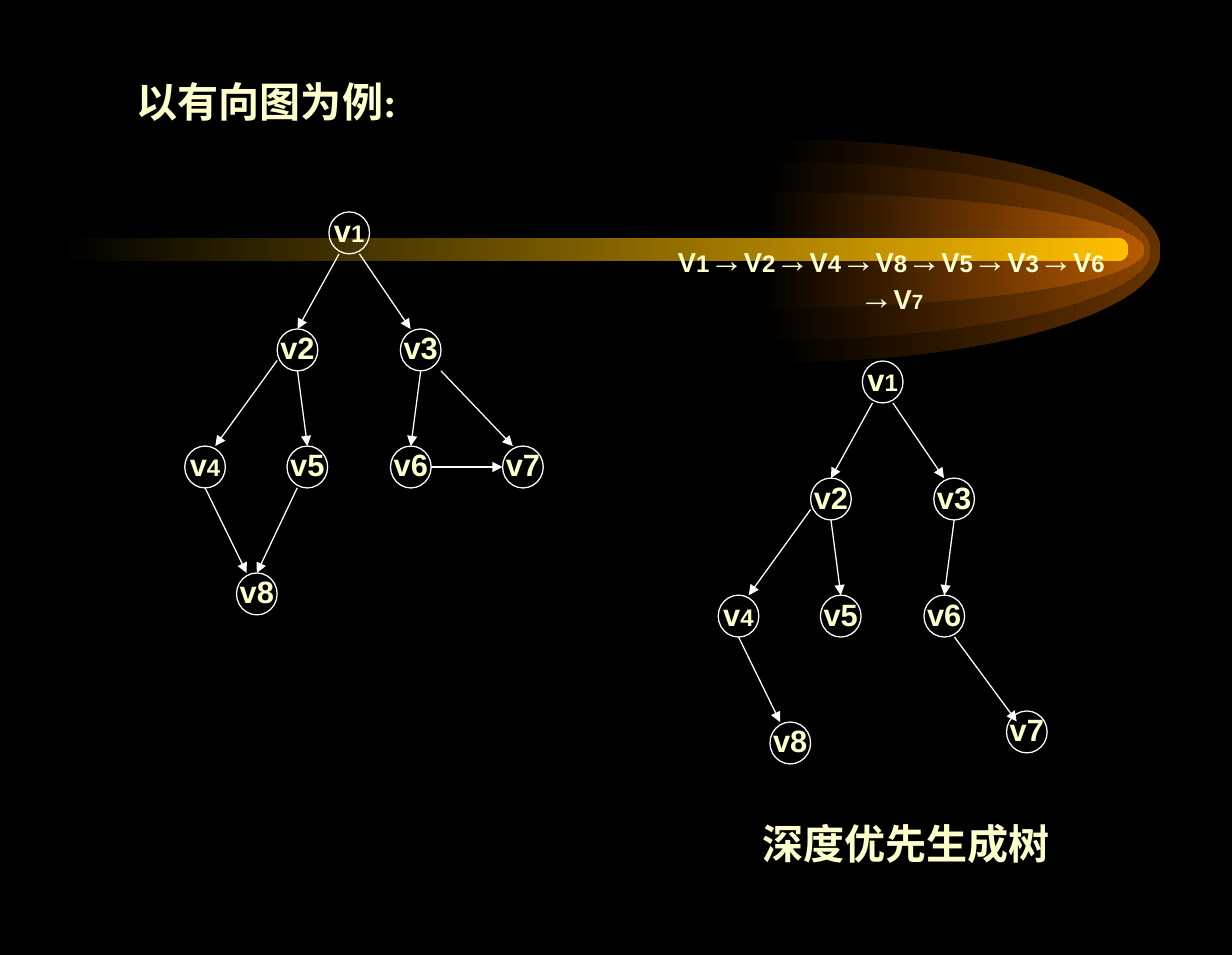
"""Builds a slide on depth-first search of a directed graph."""
import lxml.etree
import pptx
import pptx.dml.color
import pptx.enum.shapes
import pptx.enum.text
import pptx.oxml.ns
import pptx.util

Inches = pptx.util.Inches
RGBColor = pptx.dml.color.RGBColor
Shape = pptx.enum.shapes.MSO_SHAPE
Align = pptx.enum.text.PP_ALIGN
Anchor = pptx.enum.text.MSO_ANCHOR
qn = pptx.oxml.ns.qn

BLACK = RGBColor(0x00, 0x00, 0x00)
WHITE = RGBColor(0xFF, 0xFF, 0xFF)
CREAM = RGBColor(0xFF, 0xFF, 0xCC)
GOLD = RGBColor(0xFF, 0xBF, 0x00)
BROWN = RGBColor(0x66, 0x33, 0x00)
RUST = RGBColor(0x89, 0x44, 0x00)
AMBER = RGBColor(0xB7, 0x5B, 0x00)

WIDE, HIGH = 0.33, 0.34
BEND = 0.55
GLOWS = [
    (6.29, 1.13, 1.81, BROWN),
    (6.21, 1.31, 1.45, RUST),
    (6.16, 1.56, 0.94, AMBER),
]
NODES = {
    "v1": (0, 0), "v2": (-0.42, 0.95), "v3": (0.58, 0.95),
    "v4": (-1.17, 1.9), "v5": (-0.34, 1.9), "v6": (0.5, 1.9),
    "v7": (1.41, 1.9), "v8": (-0.75, 2.93),
}
SMALL = ("v1", "v4")
TOP, LOW = (0.5, 0), (0.5, 1)
SHARED = [
    ("v1", (0.75, 1), "v3", (0.25, 0)),
    ("v1", (0.25, 1), "v2", TOP),
    ("v2", (0, 0.75), "v4", (0.75, 0)),
    ("v2", LOW, "v5", TOP),
    ("v3", LOW, "v6", TOP),
    ("v4", LOW, "v8", (0.25, 0)),
]
GRAPH = SHARED + [
    ("v3", (1, 1), "v7", (0.25, 0)),
    ("v5", (0.25, 1), "v8", TOP),
    ("v6", (1, 0.5), "v7", (0, 0.5)),
]
TREE = SHARED + [("v6", (0.75, 1), "v7", (0.25, 0.25))]


def write(frame, runs, font="Arial", align=Align.CENTER, space=0.9,
          anchor=Anchor.MIDDLE, wrap=False):
    """Fill a text frame with one paragraph of (text, size) runs."""
    frame.word_wrap = wrap
    frame.vertical_anchor = anchor
    para = frame.paragraphs[0]
    para.alignment = align
    para.line_spacing = space
    for text, size in runs:
        run = para.add_run()
        run.text = text
        run.font.name = font
        run.font.size = pptx.util.Pt(size)
        run.font.bold = True
        run.font.color.rgb = CREAM


class Deck:
    """Holds the style and the current slide."""

    def __init__(self):
        """Start a deck with one black title-only slide."""
        self.show = pptx.Presentation()
        self.show.slide_width = Inches(10)
        self.show.slide_height = Inches(7.75)
        self.slide = self.show.slides.add_slide(self.show.slide_layouts[5])
        self.slide.background.fill.solid()
        self.slide.background.fill.fore_color.rgb = BLACK
        self.shapes = self.slide.shapes

    def fade(self, shape, color):
        """Fill a shape from black on the left to a colour on the right."""
        shape.shadow.inherit = False
        shape.line.fill.background()
        shape.fill.gradient()
        shape.fill.gradient_angle = 0
        for stop, tone, place in zip(shape.fill.gradient_stops, (BLACK, color), (0, 1)):
            stop.color.rgb = tone
            stop.position = place

    def glow(self, left, top, height, color, width=3.13):
        """Draw the right half of an ellipse with two curves."""
        half = height / 2
        grid = [(0, -1), (BEND, -1), (1, -BEND), (1, 0), (1, BEND), (BEND, 1), (0, 1)]
        points = [(Inches(left + x * width), Inches(top + half + y * half))
                  for x, y in grid]
        pen = self.shapes.build_freeform(*points[0])
        pen.add_line_segments(points[1:], close=True)
        shape = pen.convert_to_shape()
        lines = list(shape._element.iter(qn("a:lnTo")))[:6]
        for first in (0, 3):
            curve = lxml.etree.Element(qn("a:cubicBezTo"))
            lines[first].addprevious(curve)
            for line in lines[first:first + 3]:
                curve.append(line[0])
                line.getparent().remove(line)
        self.fade(shape, color)

    def beam(self, left, top, width, height, color):
        """Draw a bar with round ends."""
        bar = self.shapes.add_shape(Shape.ROUNDED_RECTANGLE, Inches(left),
                                    Inches(top), Inches(width), Inches(height))
        bar.adjustments[0] = 0.5
        self.fade(bar, color)

    def title(self, text, left, top, width, height):
        """Place and fill the title."""
        box = self.shapes.title
        box.left, box.top = Inches(left), Inches(top)
        box.width, box.height = Inches(width), Inches(height)
        box.text_frame.margin_left = Inches(0.28)
        box.text_frame.margin_top = Inches(0.1)
        write(box.text_frame, [(text, 24)], font="Times New Roman",
              align=Align.LEFT, space=1.0, anchor=Anchor.TOP, wrap=True)

    def label(self, runs, left, top, width, height, **style):
        """Add a text box."""
        box = self.shapes.add_textbox(Inches(left), Inches(top),
                                      Inches(width), Inches(height))
        write(box.text_frame, runs, **style)

    def node(self, name, left, top):
        """Draw a named vertex."""
        oval = self.shapes.add_shape(Shape.OVAL, Inches(left), Inches(top),
                                     Inches(WIDE), Inches(HIGH))
        oval.shadow.inherit = False
        oval.fill.background()
        oval.line.color.rgb = WHITE
        oval.line.width = pptx.util.Pt(0.75)
        runs = [("v", 18), (name[1], 14)] if name in SMALL else [(name, 18)]
        write(oval.text_frame, runs)
        return oval

    def edge(self, start, leave, end, reach):
        """Draw an arrow between two vertices at fractions of their boxes."""
        ends = [int(value) for oval, (x, y) in ((start, leave), (end, reach))
                for value in (oval.left + x * oval.width, oval.top + y * oval.height)]
        line = self.shapes.add_connector(
            pptx.enum.shapes.MSO_CONNECTOR.STRAIGHT, *ends)
        if reach == TOP:
            line.end_connect(end, 0)
        line.line.color.rgb = WHITE
        line.line.width = pptx.util.Pt(0.75)
        tail = lxml.etree.SubElement(line.line._get_or_add_ln(), qn("a:tailEnd"))
        tail.set("type", "triangle")
        lxml.etree.SubElement(line._element.spPr, qn("a:effectLst"))

    def graph(self, left, top, nodes, edges):
        """Draw all vertices and arrows, with v1 at the given place."""
        ovals = {name: self.node(name, left + x, top + y)
                 for name, (x, y) in nodes.items()}
        for start, leave, end, reach in edges:
            self.edge(ovals[start], leave, ovals[end], reach)


def main():
    """Build and save the slide."""
    deck = Deck()
    for glow in GLOWS:
        deck.glow(*glow)
    deck.beam(0.5, 1.93, 8.66, 0.19, GOLD)
    deck.title("以有向图为例:", 0.83, 0.52, 8.92, 6.89)
    deck.graph(2.67, 1.72, NODES, GRAPH)
    deck.graph(7, 2.93, {**NODES, "v7": (1.17, 2.84)}, TREE)
    route = []
    for digit in "1248536":
        route += [("V", 16), (digit, 14), ("→", 20)]
    route += [("V", 16), ("7", 12)]
    deck.label(route, 5.33, 2.07, 3.81, 0.4, wrap=True)
    deck.label([("深度优先生成树", 24)], 6.09, 6.64, 2.53, 0.46,
               font="Times New Roman")
    deck.show.save("out.pptx")


if __name__ == "__main__":
    main()
